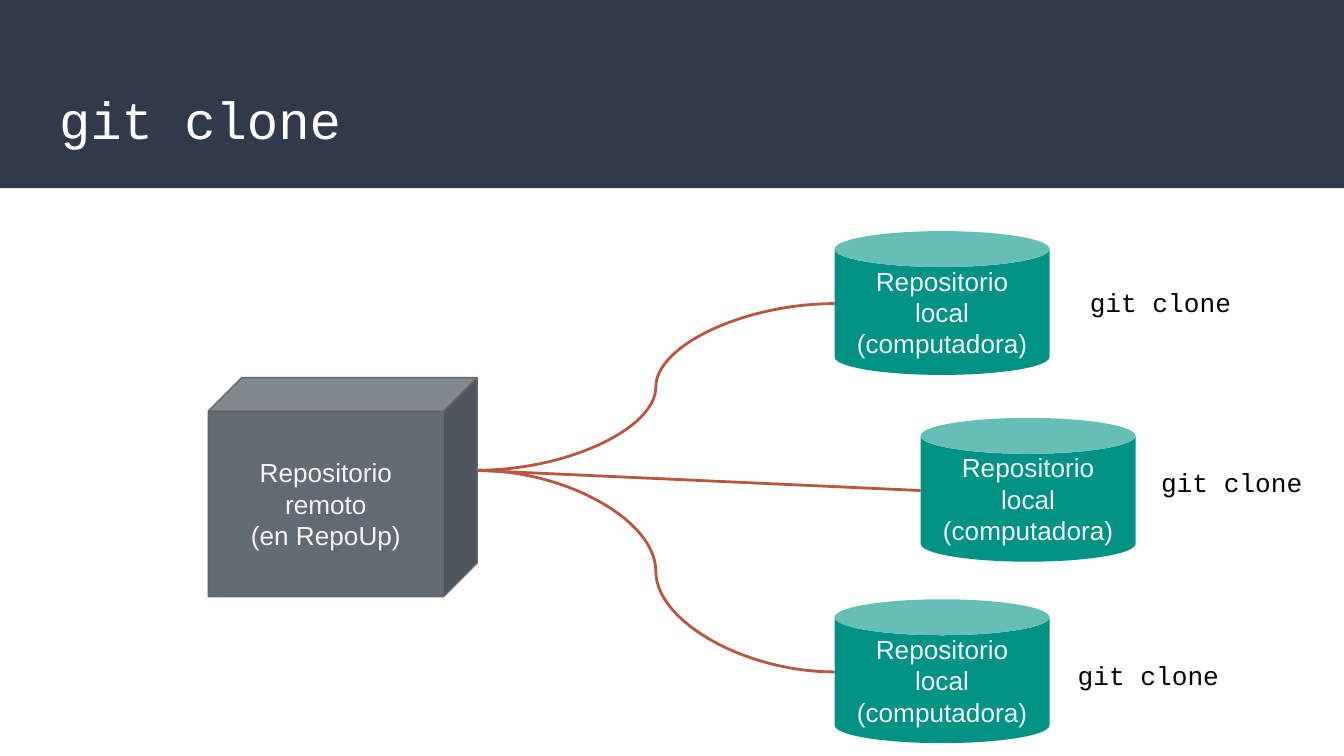
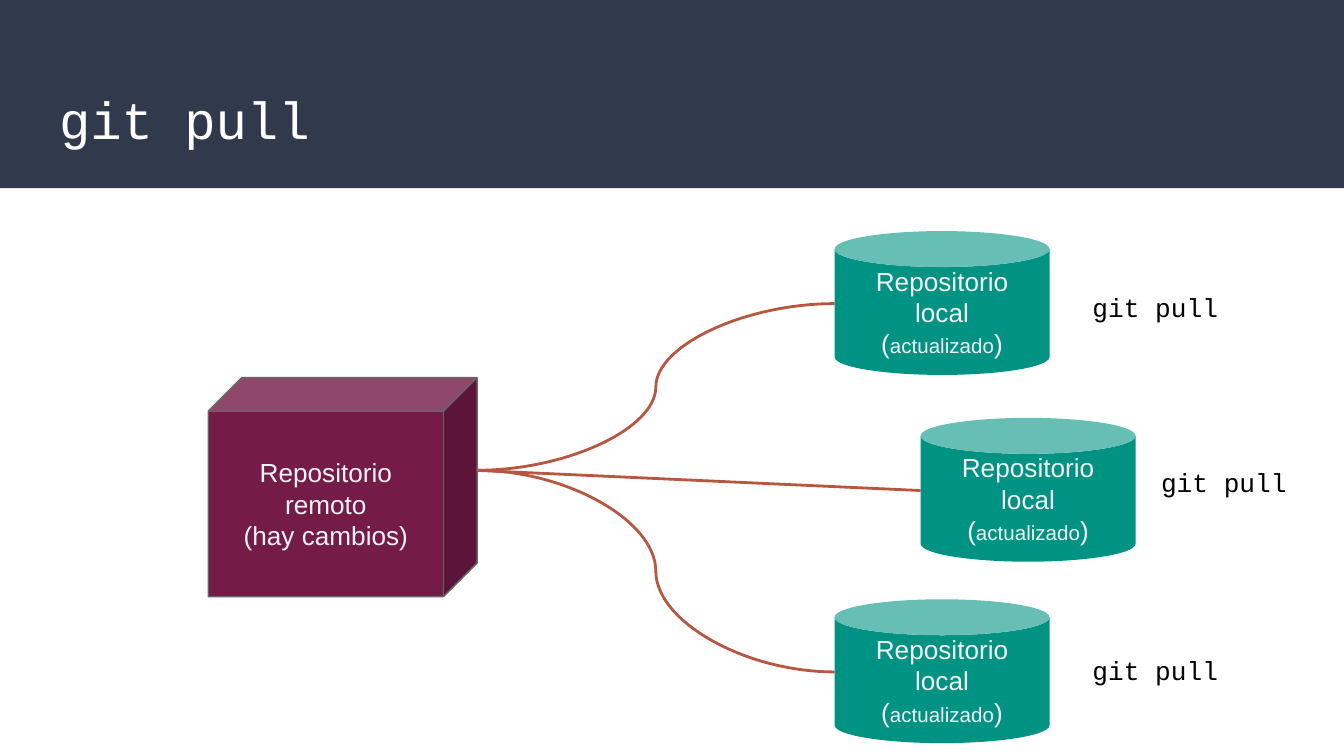
"""Build two slides showing how git clone and git pull link a remote repository to local ones."""
from lxml import etree
from pptx import Presentation
from pptx.dml.color import RGBColor
from pptx.enum.shapes import MSO_CONNECTOR, MSO_SHAPE
from pptx.enum.text import MSO_ANCHOR, PP_ALIGN
from pptx.oxml.ns import qn
from pptx.util import Inches, Pt

NAVY = RGBColor(0x31, 0x39, 0x4D)
GREY = RGBColor(0x62, 0x6B, 0x73)
PLUM = RGBColor(0x74, 0x1B, 0x47)
TEAL = RGBColor(0x00, 0x93, 0x84)
RUST = RGBColor(0xB8, 0x57, 0x41)
EDGE = RGBColor(0x66, 0x66, 0x66)
PALE = RGBColor(0xF3, 0xF3, 0xF3)
WHITE = RGBColor(0xFF, 0xFF, 0xFF)
BLACK = RGBColor(0x00, 0x00, 0x00)

RECTANGLE, CUBE, CAN = MSO_SHAPE.RECTANGLE, MSO_SHAPE.CUBE, MSO_SHAPE.CAN
STRAIGHT, CURVE = MSO_CONNECTOR.STRAIGHT, MSO_CONNECTOR.CURVE
TOP, MIDDLE = MSO_ANCHOR.TOP, MSO_ANCHOR.MIDDLE
LEFT, CENTER = PP_ALIGN.LEFT, PP_ALIGN.CENTER

COMMAND = {"font": "Courier New", "size": 14, "color": BLACK, "align": LEFT, "anchor": TOP}
TITLE = COMMAND | {"size": 28, "color": WHITE}
REPOSITORY = {"font": "Arial", "size": 14, "color": PALE, "align": CENTER, "anchor": MIDDLE}

CAN_SIZE = (1.6, 1.07)
LOCAL_PLACES = [(6.21, 4.46), (6.85, 3.11), (6.21, 1.72)]
REMOTE_PORT = (3.55, 3.5)
LINKS = [(STRAIGHT, (6.85, 3.65)), (CURVE, (6.21, 2.26)), (CURVE, (6.21, 5))]

STEPS = [
    {"command": "git clone", "remote": "(en RepoUp)", "remote_fill": GREY,
     "local": [("(computadora)", 14)],
     "labels": [(8.54, 3.37), (7.92, 4.81), (8.01, 2.03)]},
    {"command": "git pull", "remote": "(hay cambios)", "remote_fill": PLUM,
     "local": [("(", 14), ("actualizado", 11), (")", 14)],
     "labels": [(8.54, 3.37), (8.03, 2.07), (8.03, 4.77)]},
]


def write(frame, lines, style):
    """Fill a text frame with lines, each a list of (text, size) runs."""
    margins = {f"margin_{side}": Inches(0.1) for side in ("left", "top", "right", "bottom")}
    frame_values = margins | {"word_wrap": True, "vertical_anchor": style["anchor"]}
    for name, value in frame_values.items():
        setattr(frame, name, value)
    for index, line in enumerate(lines):
        paragraph = frame.add_paragraph() if index else frame.paragraphs[0]
        paragraph.alignment = style["align"]
        for text, size in line:
            run = paragraph.add_run()
            run.text = text
            for name, value in {"name": style["font"], "size": Pt(size)}.items():
                setattr(run.font, name, value)
            run.font.color.rgb = style["color"]


def add_solid(slide, kind, box, fill, adjustment=None):
    """Add a flat preset shape without outline."""
    solid = slide.shapes.add_shape(kind, *map(Inches, box))
    solid.shadow.inherit = False
    solid.fill.solid()
    solid.fill.fore_color.rgb = fill
    solid.line.fill.background()
    if adjustment is not None:
        solid.adjustments[0] = adjustment
    return solid


deck = Presentation()
deck.slide_width = Inches(10)
deck.slide_height = deck.slide_width * 9 // 16
title_only = deck.slide_layouts[5]

for number, step in enumerate(STEPS):
    slide = deck.slides.add_slide(title_only)
    if number == 0:
        band = add_solid(slide, RECTANGLE, (0, 0, 10, 1.4), NAVY)
        title_only.shapes.element.insert(2, band.element)

    title = slide.shapes.title
    title.left, title.top, title.width, title.height = map(Inches, (0.34, 0.55, 9.32, 0.68))
    write(title.text_frame, [[(step["command"], TITLE["size"])]], TITLE)

    remote = add_solid(slide, CUBE, (1.55, 2.81, 2, 1.63), step["remote_fill"], 0.153)
    remote.line.color.rgb = EDGE
    remote.line.width = Pt(0.75)
    write(remote.text_frame, [[("Repositorio remoto", 14)], [(step["remote"], 14)]], REPOSITORY)

    for place in LOCAL_PLACES:
        local = add_solid(slide, CAN, place + CAN_SIZE, TEAL, 0.25)
        write(local.text_frame, [[("Repositorio local", 14)], step["local"]], REPOSITORY)

    for route, local_port in LINKS:
        link = slide.shapes.add_connector(route, *map(Inches, REMOTE_PORT + local_port))
        link.line.color.rgb = RUST
        link.line.width = Pt(1.5)
        etree.SubElement(link.element.spPr, qn("a:effectLst"))

    for place in step["labels"]:
        label = slide.shapes.add_textbox(*map(Inches, place + (1.35, 0.45)))
        write(label.text_frame, [[(step["command"], COMMAND["size"])]], COMMAND)

deck.save("out.pptx")
